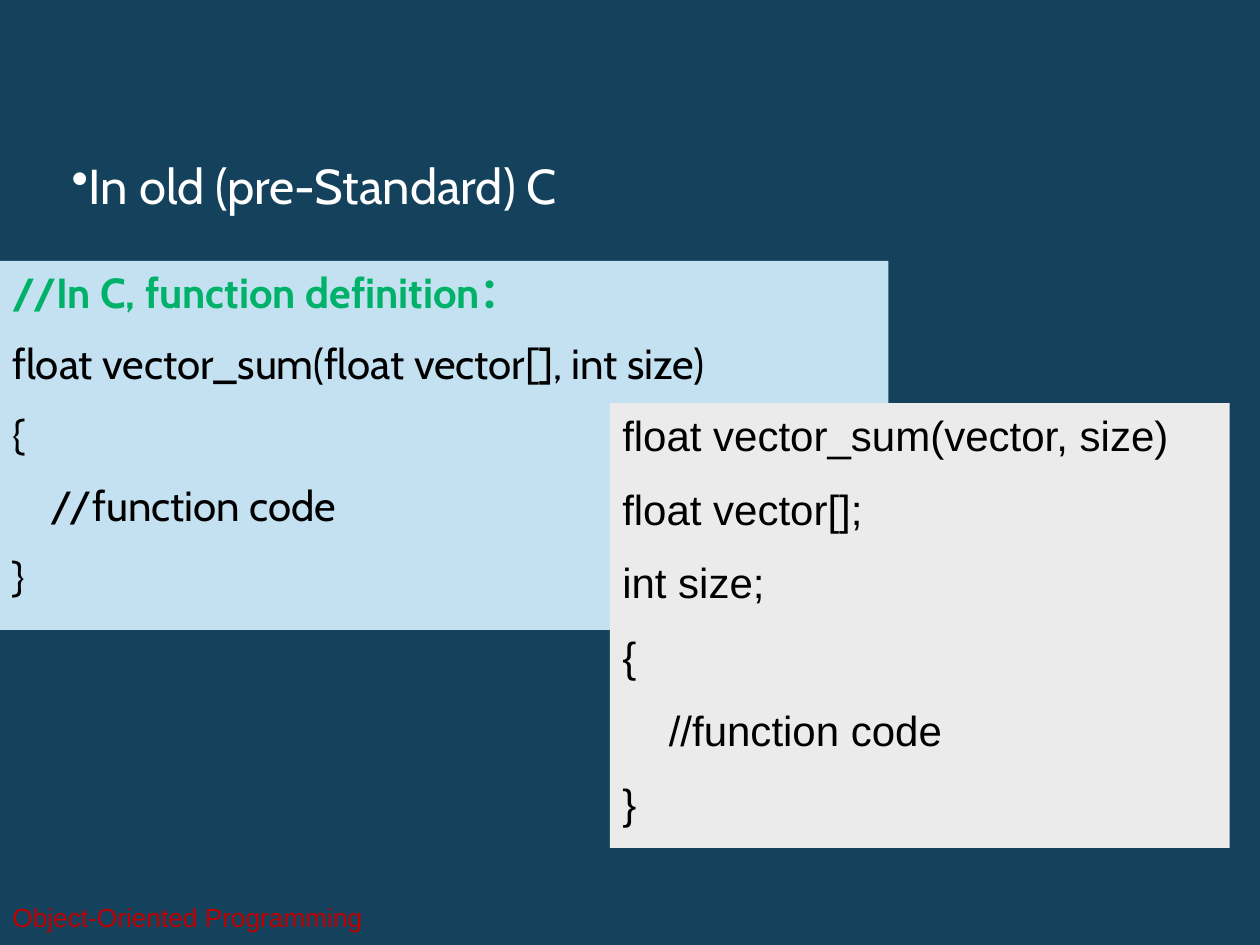
from dataclasses import dataclass

from lxml import etree
from pptx import Presentation
from pptx.dml.color import RGBColor
from pptx.enum.shapes import MSO_SHAPE
from pptx.enum.text import MSO_ANCHOR, PP_ALIGN
from pptx.oxml.ns import qn
from pptx.util import Inches, Pt

RECTANGLE = MSO_SHAPE.RECTANGLE
TOP, MIDDLE = MSO_ANCHOR.TOP, MSO_ANCHOR.MIDDLE
LEFT = PP_ALIGN.LEFT

COLORS = {
    "background": "14425D",
    "footer": "C00000",
    "heading": "FFFFFF",
    "comment": "00B16A",
    "code": "000000",
    "new_style": "C4E1F2",
    "old_style": "EBEBEB",
}


@dataclass
class Box:
    left: float
    top: float
    width: float
    height: float

    def lengths(self):
        return [Inches(v) for v in (self.left, self.top, self.width, self.height)]


@dataclass
class CodePanel:
    box: Box
    fill: str
    font: str
    gap: float
    lines: list[str]
    titled: bool = False


PANELS = [
    CodePanel(Box(0, 2.07, 7.05, 2.93), "new_style", "Cabin", 11.7, [
        "//In C, function definition：",
        "float vector_sum(float vector[], int size)",
        "{",
        "    //function code",
        "}",
    ], titled=True),
    CodePanel(Box(4.84, 3.2, 4.92, 3.53), "old_style", "Arial", 13.3, [
        "float vector_sum(vector, size)",
        "float vector[];",
        "int size;",
        "{",
        "    //function code",
        "}",
    ]),
]


def rgb(name: str) -> RGBColor:
    return RGBColor.from_string(COLORS[name])


def style_runs(p, font: str, size: float, color: str, bold: bool = False) -> None:
    for r in p.runs:
        r.font.name = font
        r.font.size = Pt(size)
        r.font.bold = bold
        r.font.color.rgb = rgb(color)


def add_label(slide, box: Box, text: str, font: str, size: float, color: str,
              anchor=TOP):
    """Add a one-line text box and return its paragraph."""
    tf = slide.shapes.add_textbox(*box.lengths()).text_frame
    tf.word_wrap = True
    tf.vertical_anchor = anchor
    tf.text = text
    p = tf.paragraphs[0]
    style_runs(p, font, size, color)
    return p


def add_bullet(p) -> None:
    pPr = p._p.get_or_add_pPr()
    pPr.set("marL", "0")
    pPr.set("indent", "0")
    etree.SubElement(pPr, qn("a:buChar")).set("char", "•")


def add_code_panel(slide, panel: CodePanel) -> None:
    s = slide.shapes.add_shape(RECTANGLE, *panel.box.lengths())
    s.shadow.inherit = False
    s.fill.solid()
    s.fill.fore_color.rgb = rgb(panel.fill)
    s.line.fill.background()
    tf = s.text_frame
    tf.word_wrap = True
    tf.vertical_anchor = TOP
    tf.text = "\n".join(panel.lines)
    for i, p in enumerate(tf.paragraphs):
        is_title = panel.titled and i == 0
        p.alignment = LEFT
        p.space_before = Pt(panel.gap if i else 0)
        style_runs(p, panel.font, 24, "comment" if is_title else "code", is_title)


def main() -> None:
    prs = Presentation()
    prs.slide_width, prs.slide_height = Inches(10), Inches(7.5)
    slide = prs.slides.add_slide(prs.slide_layouts[6])
    slide.background.fill.solid()
    slide.background.fill.fore_color.rgb = rgb("background")

    add_label(slide, Box(0, 7.08, 4.01, 0.4), "Object-Oriented Programming",
              "Arial", 15, "footer", MIDDLE)
    heading = add_label(slide, Box(0.47, 1.17, 5.83, 0.58),
                        "In old (pre-Standard) C", "Cabin", 28, "heading")
    add_bullet(heading)
    heading.line_spacing = Pt(34.4)
    for panel in PANELS:
        add_code_panel(slide, panel)

    prs.save("out.pptx")


if __name__ == "__main__":
    main()
